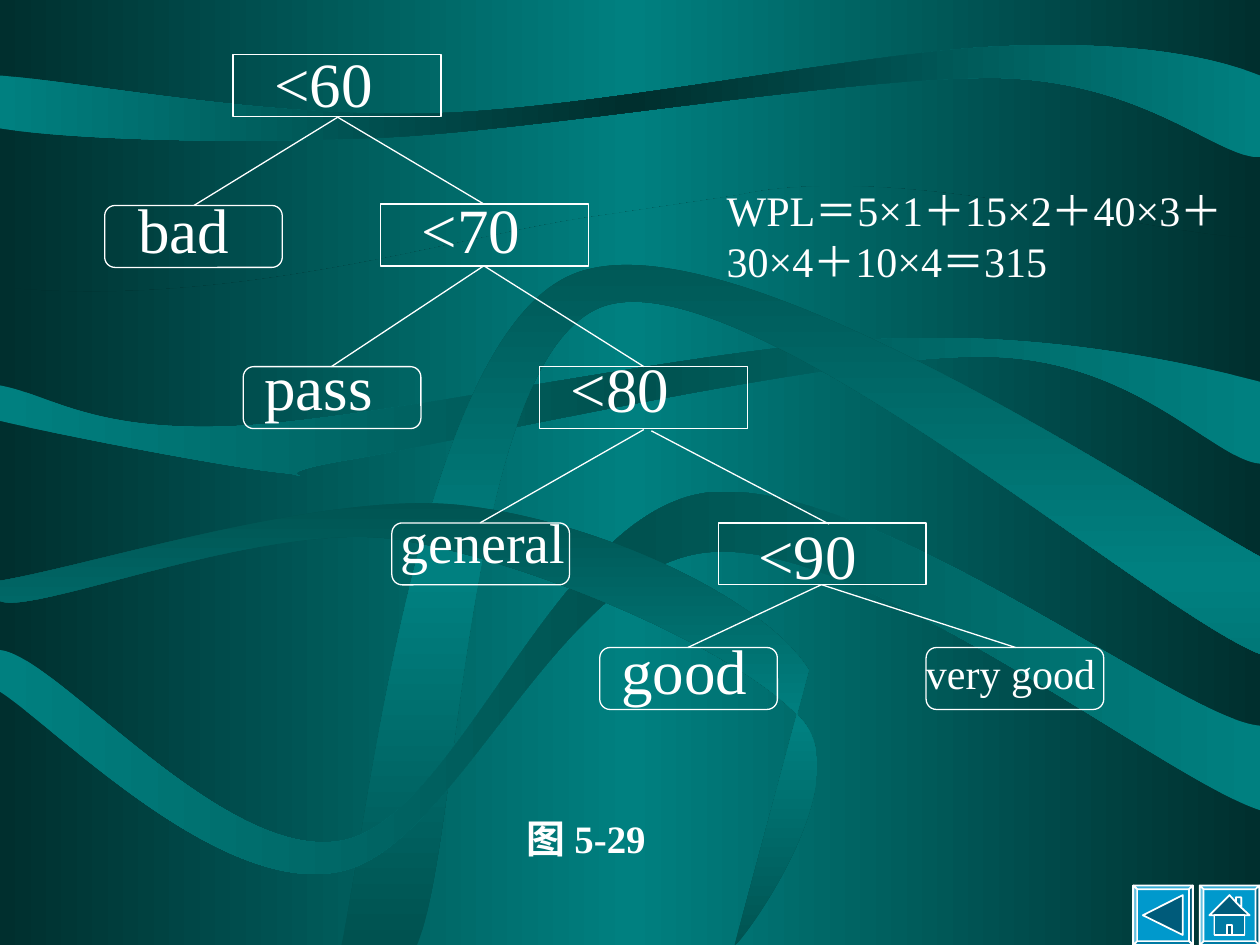
from copy import deepcopy
from lxml import etree
from pptx import Presentation
from pptx import util as u
from pptx.dml.color import RGBColor
from pptx.enum import shapes, text
from pptx.oxml.ns import qn

Pt = u.Pt
rgb = RGBColor.from_string
WHITE, DARK, MID, TEAL = "FFFFFF", "002F2E", "005250", "008080"


def shade(fill, el, edge, middle, angle):
    """Three-stop gradient: edge, middle, edge."""
    fill.gradient()
    fill.gradient_angle = angle
    stops = el.find(".//" + qn("a:gsLst"))
    stops.append(deepcopy(stops[0]))
    for stop, pos, color in zip(fill.gradient_stops, (0, 0.5, 1), (edge, middle, edge)):
        stop.color.rgb = rgb(color)
        stop.position = pos


def write(tf, words, size, bold=False, **layout):
    tf.word_wrap = True
    tf.vertical_anchor = text.MSO_ANCHOR.TOP
    p = tf.paragraphs[0]
    for name, value in layout.items():
        setattr(p, name, value)
    r = p.add_run()
    r.text = words
    for name, value in {"name": "Times New Roman", "size": Pt(size), "bold": bold}.items():
        setattr(r.font, name, value)
    r.font.color.rgb = rgb(WHITE)


prs = Presentation()
prs.slide_width, prs.slide_height = Pt(720), Pt(540)
s = prs.slides.add_slide(prs.slide_layouts[1])
title, body = s.placeholders
title._element.getparent().remove(title._element)

# Background
shade(s.background.fill, s._element.cSld, DARK, TEAL, 0)

# Ribbons: edge colour, middle colour, angle, start, then lines (2 numbers) and Bezier curves (6)
ribbons = [
    (DARK, TEAL, 0, (0, 164.2), [
        (128.2, 176.4, 244.8, 139.7, 329.8, 125.3), (329.8, 125.3, 408.2, 113.8, 421.9, 111.6),
        (514.8, 91.4, 660.2, 136.1, 720, 136.1), (720, 540), (0, 540)]),
    (TEAL, DARK, 0, (0, 43.2), [
        (0, 73.4), (36.7, 79.2, 126.7, 82.8, 221.8, 78.5), (316.8, 73.4, 488.9, 43.2, 571.7, 44.6),
        (654.5, 46.8, 695.5, 90, 720, 90), (720, 43.2), (694.8, 33.1, 648.7, 23, 570.2, 26.6),
        (491, 30.2, 343.4, 61.9, 248.4, 64.8), (153.4, 67.7, 51.8, 47.5, 0, 43.2)]),
    (TEAL, MID, 0, (0, 220.3), [
        (0, 240.5), (26.6, 247, 126, 266.4, 159.8, 270), (193.7, 273.6, 136.8, 272.9, 203, 262.1),
        (270, 250.6, 475.2, 203, 561.6, 203.8), (648, 203.8, 693.4, 262.8, 720, 265), (720, 218.2),
        (684, 208.8, 601.9, 189.4, 504.7, 193.7), (407.5, 197.3, 221, 239, 136.8, 243.4),
        (52.6, 247.7, 28.8, 225.4, 0, 220.3)]),
    (MID, TEAL, 90, (195.1, 540), [
        (209.5, 475.9, 239, 193.7, 326.9, 157), (414, 119.5, 654.5, 282.2, 720, 318.2), (720, 373.7),
        (657.4, 349.2, 425.5, 147.6, 344.9, 175), (265, 203, 263.5, 479.5, 238.3, 540)]),
    (TEAL, MID, 0, (0, 371.5), [
        (0, 395.3), (32.4, 416.2, 125.3, 511.9, 193.7, 498.2), (261.4, 485.3, 319, 321.1, 406.8, 315.4),
        (494.6, 308.9, 667.4, 446.4, 720, 463), (720, 414.7), (675.4, 411.8, 497.5, 271.4, 404.6, 281.5),
        (317.5, 292.3, 264.2, 465.1, 196.6, 480.2), (128.9, 494.6, 32.4, 374.4, 0, 371.5)]),
    (MID, TEAL, 90, (0, 331.9), [
        (0, 343.4), (18.7, 352.1, 149.8, 297.4, 226.1, 308.2), (302.4, 319.7, 426.2, 373, 458.6, 411.8),
        (491, 450, 419, 545, 419.8, 540), (462.2, 383), (436.3, 341.3, 340.6, 297.4, 263.5, 288.7),
        (186.5, 280.1, 54.7, 322.6, 0, 331.9)]),
]
for edge, middle, angle, start, segments in ribbons:
    points = [(Pt(seg[i]), Pt(seg[i + 1])) for seg in segments for i in range(0, len(seg), 2)]
    builder = s.shapes.build_freeform(*map(Pt, start))
    builder.add_line_segments(points, close=True)
    sp = builder.convert_to_shape()
    # Fold each three control points into one Bezier curve
    steps = iter(sp._element.findall(".//" + qn("a:lnTo")))
    for seg in segments:
        group = [next(steps) for _ in range(len(seg) // 2)]
        if len(group) == 3:
            curve = etree.Element(qn("a:cubicBezTo"))
            group[0].addprevious(curve)
            for step in group:
                curve.append(step[0])
                step.getparent().remove(step)
    sp.shadow.inherit = False
    sp.line.fill.background()
    shade(sp.fill, sp._element.spPr, edge, middle, angle)

# Caption, brought in front of the ribbons
s.shapes._spTree.append(body._element)
body.left, body.top, body.width, body.height = Pt(293.8), Pt(462.2), Pt(90), Pt(48.2)
body.text_frame.auto_size = text.MSO_AUTO_SIZE.NONE
pPr = body.text_frame.paragraphs[0]._p.get_or_add_pPr()
pPr.set("marL", str(Pt(27)))
pPr.set("indent", str(-Pt(27)))
etree.SubElement(pPr, qn("a:buNone"))
write(body.text_frame, "图 5-29", 22.2, bold=True, space_before=Pt(0))

# Tree nodes: label, size, line spacing, box left and top, label left, top, width, height
tests = [
    ("<60", 36, 0.8, 133.2, 31, 149.8, 30.2, 119.5, 44),
    ("<70", 36, 0.8, 217.4, 116.6, 234, 113.8, 119.5, 44),
    ("<80", 36, 0.8, 308.2, 209.5, 319, 204.5, 119.5, 44),
    ("<90", 36, 0.8, 410.4, 298.8, 426.2, 300.2, 119.5, 44),
]
grades = [
    ("bad", 36, 0.8, 59.8, 117.4, 72, 113.8, 119.5, 44),
    ("pass", 36, 0.96, 139, 209.5, 144, 198, 119.5, 61),
    ("general", 32, 0.8, 223.9, 298.8, 221.8, 293.8, 119.5, 60.5),
    ("good", 36, 0.8, 342.7, 370, 347.8, 365.8, 119.5, 60.5),
    ("very good", 24, 0.8, 529.2, 370, 522, 372.2, 152.6, 52),
]
for label, size, spacing, x, y, *place in grades + tests:
    tb = s.shapes.add_textbox(*map(Pt, place))
    write(tb.text_frame, label, size, line_spacing=spacing, alignment=text.PP_ALIGN.JUSTIFY)

kinds = shapes.MSO_SHAPE
for nodes, kind, width in ((tests, kinds.RECTANGLE, 118.8),
                           (grades, kinds.FLOWCHART_ALTERNATE_PROCESS, 101.5)):
    for label, size, spacing, x, y, *place in nodes:
        sp = s.shapes.add_shape(kind, Pt(x), Pt(y), Pt(width), Pt(35.4))
        sp.shadow.inherit = False
        sp.fill.background()
        sp.line.color.rgb, sp.line.width = rgb(WHITE), Pt(0.75)

# Branches
branches = [
    (193, 67, 110.9, 117.4), (193, 67, 276.5, 116.6),
    (276.5, 151.9, 189.4, 209.5), (276.5, 151.9, 367.9, 209.5),
    (367.9, 245.5, 274.3, 298.8), (372.2, 246.2, 473.8, 299.5),
    (469.4, 334.1, 393.1, 370), (469.4, 334.1, 580.3, 370),
]
for ends in branches:
    line = s.shapes.add_connector(shapes.MSO_CONNECTOR.STRAIGHT, *map(Pt, ends))
    line.line.color.rgb, line.line.width = rgb(WHITE), Pt(0.75)
    etree.SubElement(line._element.spPr, qn("a:effectLst"))

# Navigation buttons: bevelled frame plus icon, each outline with its own tint
SIDE, IN = 34, 2.2
outer = [(0, 0), (SIDE, 0), (SIDE, SIDE), (0, SIDE)]
inner = [(IN, IN), (SIDE - IN, IN), (SIDE - IN, SIDE - IN), (IN, SIDE - IN)]
frame = [("norm", outer)]
for i, tint in enumerate(("lightenLess", "darken", "darkenLess", "lighten")):
    j = (i + 1) % 4
    frame.append((tint, [outer[i], outer[j], inner[j], inner[i]]))
chimney = [(20.7, 9.6), (20.7, 6.8), (23.7, 6.8), (23.7, 12.6)]
home = [
    ("darken", [(17, 5.5), *chimney, (28.5, 17), (25.5, 17), (25.5, 28.3), (8.5, 28.3),
                (8.5, 17), (5.5, 17)]),
    ("darkenLess", chimney),
    ("darkenLess", [(15.5, 22.6), (18.5, 22.6), (18.5, 28.3), (25.5, 28.3), (25.5, 17),
                    (8.5, 17), (8.5, 28.3), (15.5, 28.3)]),
]
back = [("darken", [(5.5, 17), (28.3, 5.5), (28.3, 28.3)])]
for x, icon in ((685.6, home), (647.6, back)):
    builder = s.shapes.build_freeform(0, 0)
    for tint, outline in frame + icon:
        first, *rest = [(Pt(px), Pt(py)) for px, py in outline]
        builder.move_to(*first)
        builder.add_line_segments(rest, close=True)
    sp = builder.convert_to_shape(Pt(x), Pt(506))
    # Split the outlines into separately tinted paths
    whole = sp._element.find(".//" + qn("a:path"))
    tints = iter(["none"] + [tint for tint, outline in frame + icon])
    for step in list(whole):
        if step.tag == qn("a:moveTo"):
            path = etree.SubElement(whole.getparent(), qn("a:path"), dict(whole.attrib))
            path.set("fill", next(tints))
        path.append(step)
    whole.getparent().remove(whole.getnext())
    whole.getparent().remove(whole)
    sp.shadow.inherit = False
    sp.fill.solid()
    sp.fill.fore_color.rgb = rgb("0099CC")
    sp.line.color.rgb, sp.line.width = rgb(WHITE), Pt(1)

# Weighted path length
tb = s.shapes.add_textbox(Pt(408.2), Pt(102.2), Pt(311.8), Pt(64.8))
tb.text_frame.auto_size = text.MSO_AUTO_SIZE.SHAPE_TO_FIT_TEXT
write(tb.text_frame, "WPL＝5×1＋15×2＋40×3＋30×4＋10×4＝315", 24)

prs.save("out.pptx")
